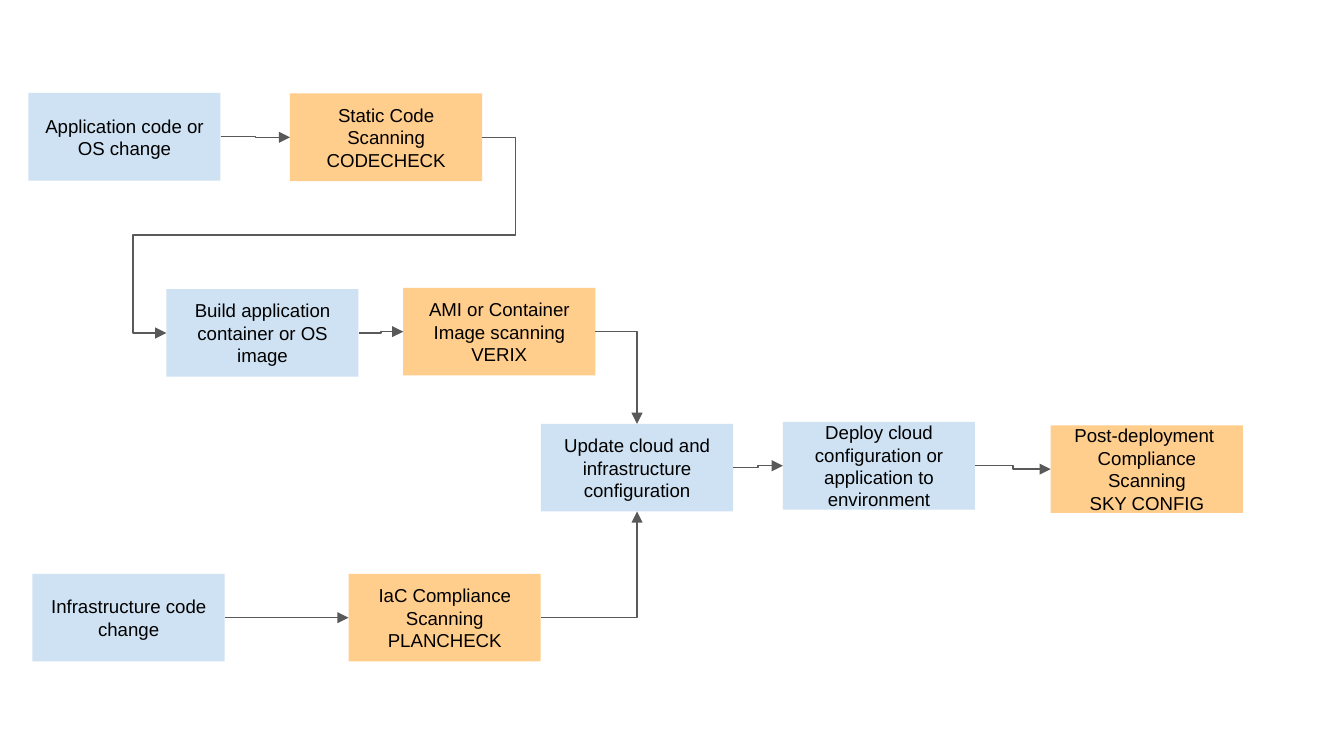
from pptx import Presentation
from pptx import util as u
from pptx.dml.color import RGBColor
from pptx.enum import shapes, text
from pptx.oxml import ns
from lxml import etree

BLUE = RGBColor(0xCF, 0xE2, 0xF3)
AMBER = RGBColor(0xFF, 0xCD, 0x8C)
GREY = RGBColor(0x59, 0x59, 0x59)
BLACK = RGBColor(0, 0, 0)

WIDE = u.Inches(10)
HIGH = WIDE * 9 // 16
COLS, ROWS = 100, 56.25
STEP_W, STEP_H = 14.3, 6.52
TOP, LEFT, BASE, RIGHT = range(4)

# name: column, row, fill, wording
STEPS = {
    "build": (12.38, 21.52, BLUE, "Build application container or OS image"),
    "deploy": (58.25, 31.4, BLUE,
               "Deploy cloud configuration or application to environment"),
    "update": (40.25, 31.54, BLUE, "Update cloud and infrastructure configuration"),
    "code": (2.11, 6.92, BLUE, "Application code or OS change"),
    "infra": (2.42, 42.7, BLUE, "Infrastructure code change"),
    "policy": (25.94, 42.7, AMBER, "IaC Compliance Scanning\nPLANCHECK"),
    "image": (30, 21.42, AMBER, "AMI or Container Image scanning\nVERIX"),
    "post": (78.18, 31.65, AMBER,
             "Post-deployment \nCompliance Scanning\nSKY CONFIG"),
    "static": (21.58, 6.96, AMBER, "Static Code Scanning\nCODECHECK"),
}

# from, to, side entered, preset, bends
LINKS = [
    ("code", "static", LEFT, "bentConnector3", [50000]),
    ("infra", "policy", LEFT, "bentConnector3", [50000]),
    ("image", "update", TOP, "bentConnector2", []),
    ("update", "deploy", LEFT, "bentConnector3", [50000]),
    ("static", "build", LEFT, "bentConnector5", [-10600, 50000, 110600]),
    ("build", "image", LEFT, "bentConnector3", [50000]),
    ("policy", "update", BASE, "bentConnector2", []),
    ("deploy", "post", LEFT, "bentConnector3", [50000]),
]


def add_step(slide, box, fill, words):
    """Draw one filled step with centred text in the box."""
    step = slide.shapes.add_shape(shapes.MSO_SHAPE.RECTANGLE, *box)
    step.shadow.inherit = False
    step.fill.solid()
    step.fill.fore_color.rgb = fill
    step.line.fill.background()
    frame = step.text_frame
    frame.word_wrap = True
    frame.vertical_anchor = text.MSO_ANCHOR.MIDDLE
    frame.margin_left = frame.margin_right = u.Inches(0.1)
    frame.margin_top = frame.margin_bottom = u.Inches(0.1)
    frame.text = words
    for para in frame.paragraphs:
        para.alignment = text.PP_ALIGN.CENTER
        for run in para.runs:
            run.font.name = "Arial"
            run.font.size = u.Pt(10)
            run.font.color.rgb = BLACK
    return step


def add_link(slide, start, end, side, preset, bends):
    """Join the right side of one step to a side of another by an arrow."""
    link = slide.shapes.add_connector(shapes.MSO_CONNECTOR.ELBOW, 0, 0, 0, 0)
    link.begin_connect(start, RIGHT)
    link.end_connect(end, side)
    link.line.color.rgb = GREY
    link.line.width = u.Pt(0.75)
    props = link._element.spPr
    etree.SubElement(props.find(ns.qn("a:ln")), ns.qn("a:tailEnd"), type="triangle")
    etree.SubElement(props, ns.qn("a:effectLst"))
    shape = props.find(ns.qn("a:prstGeom"))
    shape.set("prst", preset)
    guides = shape.find(ns.qn("a:avLst"))
    for num, bend in enumerate(bends, 1):
        etree.SubElement(guides, ns.qn("a:gd"), name=f"adj{num}", fmla=f"val {bend}")


def add_flow(slide, box):
    """Lay the steps and their arrows on a grid that fills the box."""
    left, top, width, height = box
    col, row = width / COLS, height / ROWS
    size = int(STEP_W * col), int(STEP_H * row)
    made = {}
    for name, (x, y, fill, words) in STEPS.items():
        spot = int(left + x * col), int(top + y * row)
        made[name] = add_step(slide, spot + size, fill, words)
    for start, end, side, preset, bends in LINKS:
        add_link(slide, made[start], made[end], side, preset, bends)


deck = Presentation()
deck.slide_width, deck.slide_height = WIDE, HIGH
page = deck.slides.add_slide(deck.slide_layouts[6])
add_flow(page, (0, 0, WIDE, HIGH))
deck.save("out.pptx")
